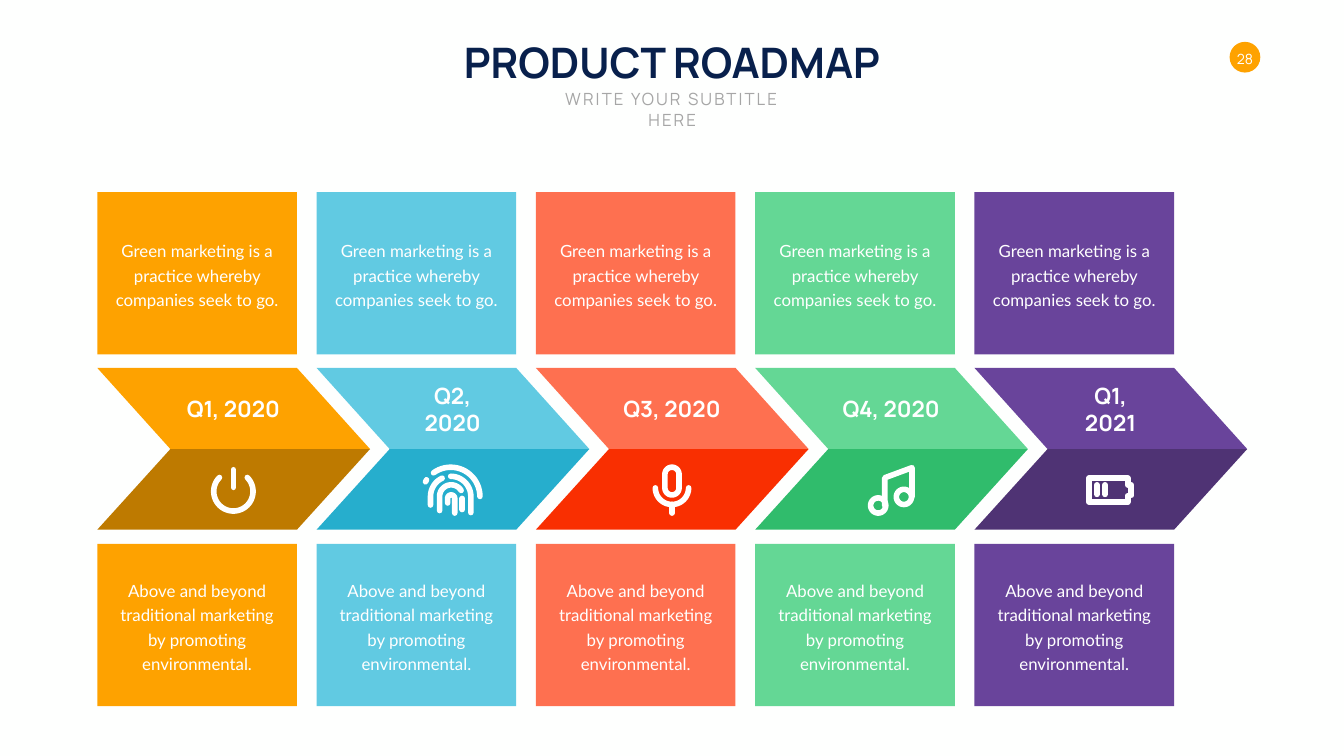
import math

import pptx
import pptx.dml.color
import pptx.enum.shapes
import pptx.enum.text
import pptx.oxml
import pptx.oxml.ns
import pptx.util

Inches = pptx.util.Inches
Pt = pptx.util.Pt
RGBColor = pptx.dml.color.RGBColor
MSO_SHAPE = pptx.enum.shapes.MSO_SHAPE
MSO_ANCHOR = pptx.enum.text.MSO_ANCHOR
MSO_AUTO_SIZE = pptx.enum.text.MSO_AUTO_SIZE
PP_ALIGN = pptx.enum.text.PP_ALIGN

PAPER = RGBColor(0xFE, 0xFF, 0xFE)
WHITE = RGBColor(0xFF, 0xFF, 0xFF)
NAVY = RGBColor(0x08, 0x20, 0x4C)
GRAY = RGBColor(0xA6, 0xA6, 0xA6)
ORANGE = RGBColor(0xFE, 0xA2, 0x00)
DARK_ORANGE = RGBColor(0xBE, 0x7A, 0x00)
SKY = RGBColor(0x61, 0xCA, 0xE2)
DARK_SKY = RGBColor(0x26, 0xAE, 0xCD)
CORAL = RGBColor(0xFE, 0x70, 0x50)
DARK_CORAL = RGBColor(0xF9, 0x2F, 0x01)
GREEN = RGBColor(0x64, 0xD7, 0x95)
DARK_GREEN = RGBColor(0x30, 0xBC, 0x6C)
PURPLE = RGBColor(0x69, 0x44, 0x9B)
DARK_PURPLE = RGBColor(0x4F, 0x33, 0x74)

HEADING_FONT = "Manrope"
BODY_FONT = "Lato"


def arc(center_x, center_y, radius, start, end):
    steps = max(6, round(abs(end - start) / 6))
    angles = [math.radians(start + (end - start) * i / steps) for i in range(steps + 1)]
    return [(center_x + radius * math.cos(a), center_y + radius * math.sin(a)) for a in angles]


POWER = [arc(2.7, 9.75, 0.39, -45, 225), [(2.7, 9.32), (2.7, 9.67)]]
FINGERPRINT = [
    arc(2.66, 9.85, 0.58, 234, 360),
    arc(2.66, 9.85, 0.4, 270, 360) + [(3.06, 10.17)],
    arc(2.66, 9.85, 0.4, 245, 180) + [(2.26, 10.02)],
    arc(2.67, 9.85, 0.23, 329, 180) + [(2.44, 10.13)],
    [(2.6, 9.98)] + arc(2.67, 9.89, 0.07, 180, 360) + [(2.74, 10.18)],
    [(2.89, 9.89), (2.89, 10.11)],
    [(2.18, 9.52), (2.16, 9.56)],
]
MICROPHONE = [
    arc(2.7, 9.41, 0.14, 180, 360) + arc(2.7, 9.68, 0.14, 0, 180) + [(2.56, 9.41)],
    arc(2.7, 9.68, 0.33, 0, 180),
    [(2.7, 10.01), (2.7, 10.18)],
]
MUSIC = [
    arc(2.44, 10.03, 0.15, 0, 360),
    arc(2.95, 9.86, 0.15, 0, 360),
    [(2.57, 10.03), (2.57, 9.48), (3.11, 9.28), (3.11, 9.86)],
]
BATTERY = [
    [(2.27, 9.49), (3.04, 9.49), (3.04, 9.62), (3.11, 9.62), (3.11, 9.83),
     (3.04, 9.83), (3.04, 9.96), (2.27, 9.96), (2.27, 9.49)],
    [(2.43, 9.62), (2.43, 9.81)],
    [(2.59, 9.62), (2.59, 9.81)],
]

QUARTERS = [
    ("Q1, 2020", 2.05, ORANGE, DARK_ORANGE, POWER),
    ("Q2, 2020", 2.13, SKY, DARK_SKY, FINGERPRINT),
    ("Q3, 2020", 2.15, CORAL, DARK_CORAL, MICROPHONE),
    ("Q4, 2020", 2.18, GREEN, DARK_GREEN, MUSIC),
    ("Q1, 2021", 1.92, PURPLE, DARK_PURPLE, BATTERY),
]
CARDS = [
    (3.81, "Green marketing is a practice whereby companies seek to go."),
    (10.79, "Above and beyond traditional marketing by promoting environmental."),
]

LEFT, PITCH = 1.93, 4.35
CARD_WIDTH, CARD_HEIGHT = 3.96, 3.22
ARROW_TOP, ARROW_MIDDLE, ARROW_BOTTOM = 7.3, 8.91, 10.51
ARROW_NOTCH = 1.45
LABEL_CENTER = 2.7


def write(shape, text, font, size, color, bold=False, anchor=MSO_ANCHOR.MIDDLE, wrap=True):
    frame = shape.text_frame
    frame.auto_size = MSO_AUTO_SIZE.NONE
    frame.word_wrap = wrap
    frame.vertical_anchor = anchor
    paragraph = frame.paragraphs[0]
    paragraph.alignment = PP_ALIGN.CENTER
    run = paragraph.add_run()
    run.text = text
    run.font.name = font
    run.font.size = Pt(size)
    run.font.bold = bold
    run.font.color.rgb = color
    return paragraph


def paint(shape, color):
    shape.shadow.inherit = False
    shape.fill.solid()
    shape.fill.fore_color.rgb = color
    shape.line.fill.background()


def add_box(slide, kind, left, top, width, height, color):
    shape = slide.shapes.add_shape(kind, Inches(left), Inches(top), Inches(width), Inches(height))
    paint(shape, color)
    return shape


def add_text(slide, left, top, width, height, *args, **options):
    box = slide.shapes.add_textbox(Inches(left), Inches(top), Inches(width), Inches(height))
    return write(box, *args, **options)


def add_outline(slide, left, contours, close):
    paths = [[(Inches(left + x), Inches(y)) for x, y in contour] for contour in contours]
    builder = slide.shapes.build_freeform(*paths[0][0])
    for index, path in enumerate(paths):
        if index:
            builder.move_to(*path[0])
        builder.add_line_segments(path[1:], close=close)
    return builder.convert_to_shape()


def add_icon(slide, left, strokes):
    icon = add_outline(slide, left, strokes, False)
    icon.shadow.inherit = False
    icon.fill.background()
    icon.line.color.rgb = WHITE
    icon.line.width = Pt(8)
    line = icon.line._get_or_add_ln()
    line.set("cap", "rnd")
    line.append(pptx.oxml.parse_xml("<a:round %s/>" % pptx.oxml.ns.nsdecls("a")))


def add_header(slide):
    title = slide.shapes.title
    title.left, title.top = Inches(8.92), Inches(0.67)
    title.width, title.height = Inches(8.82), Inches(1.11)
    write(title, "PRODUCT ROADMAP", HEADING_FONT, 60, NAVY, True, MSO_ANCHOR.TOP, False)
    subtitle = add_text(slide, 10.62, 1.72, 5.43, 0.5, "WRITE YOUR SUBTITLE HERE",
                        HEADING_FONT, 24, GRAY, anchor=MSO_ANCHOR.TOP)
    subtitle.runs[0].font._element.set("spc", "300")
    badge = add_box(slide, MSO_SHAPE.OVAL, 24.39, 0.83, 0.61, 0.61, ORANGE)
    write(badge, "28", HEADING_FONT, 20, WHITE, wrap=False)
    frame = badge.text_frame
    frame.margin_left = frame.margin_right = frame.margin_bottom = 0
    frame.margin_top = Inches(0.05)


def add_quarter(slide, left, label, label_width, color, dark_color, icon):
    for top, text in CARDS:
        card = add_box(slide, MSO_SHAPE.RECTANGLE, left, top, CARD_WIDTH, CARD_HEIGHT, color)
        card.text_frame.margin_left = card.text_frame.margin_right = Inches(0.25)
        paragraph = write(card, text, BODY_FONT, 24, WHITE)
        paragraph.line_spacing = Pt(35)
        paragraph.space_after = Pt(18)
    for edge, shade in ((ARROW_TOP, color), (ARROW_BOTTOM, dark_color)):
        half = [(0, edge), (CARD_WIDTH, edge),
                (CARD_WIDTH + ARROW_NOTCH, ARROW_MIDDLE), (ARROW_NOTCH, ARROW_MIDDLE)]
        paint(add_outline(slide, left, [half], True), shade)
    add_text(slide, left + LABEL_CENTER - label_width / 2, 7.79, label_width, 0.64,
             label, HEADING_FONT, 32, WHITE, True)
    add_icon(slide, left, icon)


def main():
    presentation = pptx.Presentation()
    presentation.slide_width = Inches(26.66)
    presentation.slide_height = Inches(15)
    slide = presentation.slides.add_slide(presentation.slide_layouts[5])
    slide.background.fill.solid()
    slide.background.fill.fore_color.rgb = PAPER
    add_header(slide)
    for index, quarter in enumerate(QUARTERS):
        add_quarter(slide, LEFT + index * PITCH, *quarter)
    presentation.save("out.pptx")


if __name__ == "__main__":
    main()
